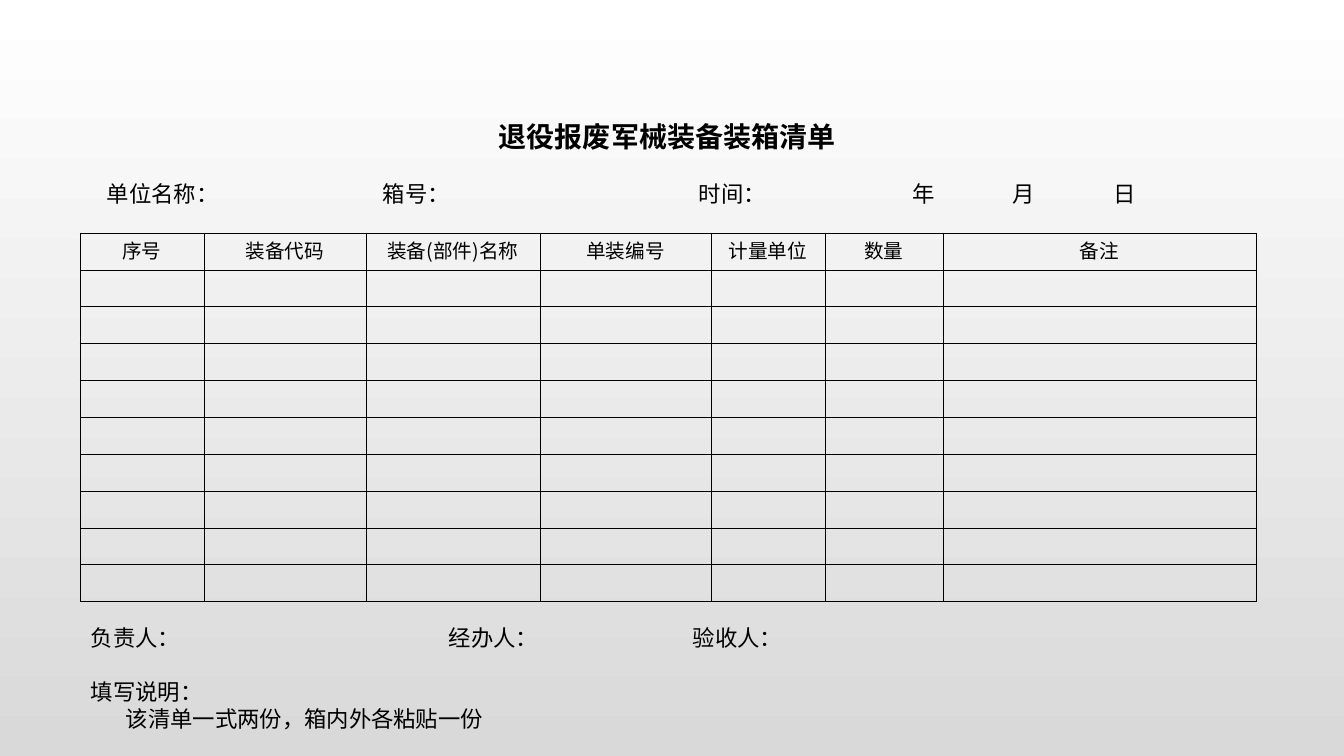
from lxml import etree
from pptx import Presentation
from pptx.dml.color import RGBColor
from pptx.enum.text import MSO_ANCHOR, PP_ALIGN
from pptx.oxml.ns import qn
from pptx.util import Emu, Pt

CENTER = PP_ALIGN.CENTER
MIDDLE = MSO_ANCHOR.MIDDLE
EMU_PER_PX = 914400 / 100.8
COLORS = {"ink": "000000", "page_top": "FFFFFF", "page_bottom": "D9D9D9"}
TITLE_FONT = "Arial"
BODY_FONT = "Noto Sans CJK SC"
LINE_RATIO = 1.21
BORDER_SIDES = ("a:lnL", "a:lnR", "a:lnT", "a:lnB")

HEADINGS = ("序号", "装备代码", "装备(部件)名称", "单装编号", "计量单位", "数量", "备注")
COLUMN_WIDTHS = (124, 162, 174, 171, 114, 118, 313)
ROW_COUNT = 10


def px(length):
    """Turn pixels into EMU."""
    return Emu(round(length * EMU_PER_PX))


def rgb(name):
    """Look up a named colour."""
    return RGBColor.from_string(COLORS[name])


def style_paragraph(paragraph, size, font=BODY_FONT, bold=False):
    """Set the font of a whole paragraph, for Latin and Chinese text."""
    paragraph.font.size = Pt(size)
    paragraph.font.name = font
    paragraph.font.bold = bold
    paragraph.font.color.rgb = rgb("ink")
    defaults = paragraph.font._element
    etree.SubElement(defaults, qn("a:ea"), typeface=BODY_FONT)


def set_tabs(paragraph, stops):
    """Add left tab stops, measured from the start of the text."""
    properties = paragraph._p.get_or_add_pPr()
    tab_list = etree.Element(qn("a:tabLst"))
    for stop in stops:
        etree.SubElement(tab_list, qn("a:tab"), pos=str(px(stop)), algn="l")
    properties.find(qn("a:defRPr")).addprevious(tab_list)


def add_text(slide, left, top, width, height, lines, size, tabs=(), **font):
    """Add a text box with one paragraph per line and return its paragraphs."""
    frame = slide.shapes.add_textbox(px(left), px(top), px(width), px(height)).text_frame
    frame.word_wrap = True
    frame.text = "\n".join(lines)
    for paragraph in frame.paragraphs:
        style_paragraph(paragraph, size, **font)
        paragraph.line_spacing = Pt(size * LINE_RATIO)
        if tabs:
            set_tabs(paragraph, tabs)
    return frame.paragraphs


def add_borders(cell):
    """Draw a thin line on all four sides of a cell."""
    properties = cell._tc.get_or_add_tcPr()
    for index, side in enumerate(BORDER_SIDES):
        line = etree.Element(qn(side), w=str(Pt(0.5)))
        fill = etree.SubElement(line, qn("a:solidFill"))
        etree.SubElement(fill, qn("a:srgbClr"), val=COLORS["ink"])
        properties.insert(index, line)


def add_packing_table(slide, left, top, height):
    """Add the form table: a heading row above empty rows."""
    table = slide.shapes.add_table(
        ROW_COUNT, len(HEADINGS), px(left), px(top), px(sum(COLUMN_WIDTHS)), px(height)
    ).table
    table.first_row = table.horz_banding = False
    for column, width in zip(table.columns, COLUMN_WIDTHS):
        column.width = px(width)
    for cell, heading in zip(table.rows[0].cells, HEADINGS):
        cell.text = heading
    for cell in table.iter_cells():
        cell.fill.background()
        cell.vertical_anchor = MIDDLE
        cell.margin_left = cell.margin_right = cell.margin_top = px(1)
        cell.margin_bottom = px(5)
        paragraph = cell.text_frame.paragraphs[0]
        paragraph.alignment = CENTER
        style_paragraph(paragraph, 14)
        add_borders(cell)


def set_background(slide):
    """Fill the page with a gradient from top to bottom."""
    fill = slide.background.fill
    fill.gradient()
    fill.gradient_angle = 270
    for stop, name in zip(fill.gradient_stops, ("page_top", "page_bottom")):
        stop.color.rgb = rgb(name)


def main():
    """Build the packing list slide."""
    deck = Presentation()
    deck.slide_width, deck.slide_height = px(1344), px(756)
    slide = deck.slides.add_slide(deck.slide_layouts[6])
    set_background(slide)

    add_text(slide, 489, 114, 367, 44, ["退役报废军械装备装箱清单"], 20,
             font=TITLE_FONT, bold=True)
    add_text(slide, 97, 175, 1205, 37, ["单位名称：\t箱号：\t时间：\t年\t月\t日"], 16,
             tabs=(276, 592, 806, 906, 1007))
    add_packing_table(slide, 80, 233, 369)

    signatures, _, note = add_text(
        slide, 81, 619, 1205, 119,
        ["负责人：\t经办人：\t验收人：", "填写说明：", "该清单一式两份，箱内外各粘贴一份"],
        16, tabs=(358, 602))
    signatures.space_after = Pt(16 * LINE_RATIO)
    note._p.get_or_add_pPr().set("marL", str(px(35)))

    deck.save("out.pptx")


main()
